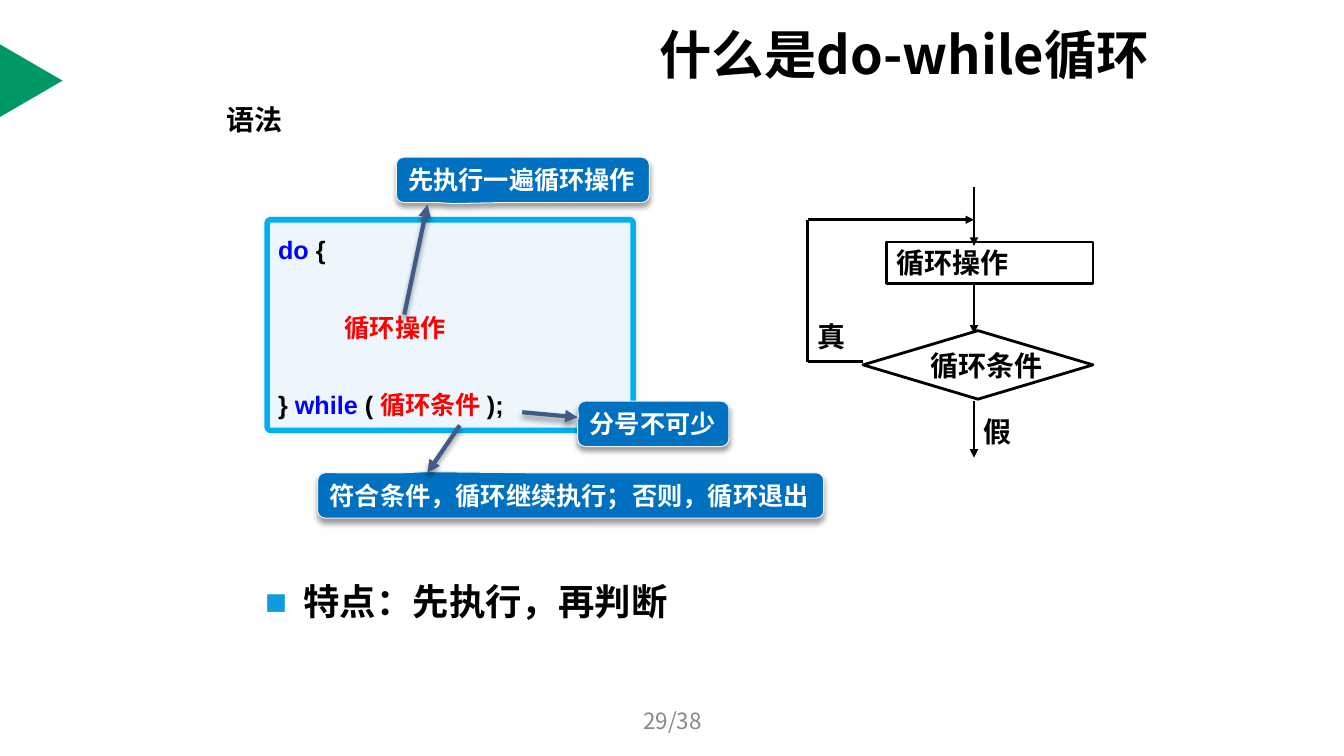
from lxml.etree import SubElement
from pptx import Presentation
from pptx.dml.color import RGBColor
from pptx.enum.shapes import MSO_CONNECTOR, MSO_SHAPE
from pptx.enum.text import MSO_ANCHOR, MSO_AUTO_SIZE, PP_ALIGN
from pptx.oxml.ns import qn
from pptx.util import Inches, Pt

BLACK = RGBColor(0x00, 0x00, 0x00)
WHITE = RGBColor(0xFF, 0xFF, 0xFF)
GREEN = RGBColor(0x00, 0x99, 0x66)
RED = RGBColor(0xFF, 0x00, 0x00)
KEYWORD_BLUE = RGBColor(0x00, 0x00, 0xFF)
CODE_FILL = RGBColor(0xED, 0xF5, 0xFD)
CODE_BORDER = RGBColor(0x00, 0xB0, 0xF0)
CALLOUT_FILL = RGBColor(0x00, 0x70, 0xC0)
CALLOUT_BORDER = RGBColor(0xF2, 0xF2, 0xF2)
POINTER = RGBColor(0x41, 0x5A, 0x86)
BULLET = RGBColor(0x0E, 0x9C, 0xDE)
GRAY = RGBColor(0x89, 0x89, 0x89)
CJK_FONT = "Noto Sans CJK SC"


def add_shadow(effects, alpha, blur, distance):
    """Fill an effect list with a black shadow that falls downwards."""
    shadow = SubElement(effects, qn("a:outerShdw"), blurRad=str(Pt(blur)),
                        dist=str(Pt(distance)), dir="5400000", algn="ctr", rotWithShape="0")
    color = SubElement(shadow, qn("a:srgbClr"), val=str(BLACK))
    SubElement(color, qn("a:alpha"), val=str(alpha * 1000))


def add_span(para, text, size, color=BLACK, name="Arial", bold=True):
    span = para.add_run()
    span.text = text
    formats = {"size": Pt(size), "bold": bold, "name": name}
    for key, value in formats.items():
        setattr(span.font, key, value)
    span.font.color.rgb = color
    SubElement(span.font._element, qn("a:ea"), typeface=CJK_FONT)
    return span


def set_frame(shape, anchor=MSO_ANCHOR.MIDDLE, wrap=False, align=PP_ALIGN.LEFT):
    """Prepare the text frame of a shape and return its first paragraph."""
    frame = shape.text_frame
    formats = {"word_wrap": wrap, "auto_size": MSO_AUTO_SIZE.NONE, "vertical_anchor": anchor}
    for key, value in formats.items():
        setattr(frame, key, value)
    frame.paragraphs[0].alignment = align
    return frame.paragraphs[0]


def place(shape, box):
    for key, value in zip(("left", "top", "width", "height"), box):
        setattr(shape, key, Inches(value))


def add_block(page, kind, box, fill=None, border=None, width=0):
    shape = page.shapes.add_shape(kind, *map(Inches, box))
    shape.shadow.inherit = False
    if fill is None:
        shape.fill.background()
    else:
        shape.fill.solid()
        shape.fill.fore_color.rgb = fill
    if border is None:
        shape.line.fill.background()
    else:
        shape.line.color.rgb = border
        shape.line.width = Pt(width)
    return shape


def add_label(page, box, text, size, **formats):
    label = page.shapes.add_textbox(*map(Inches, box))
    return add_span(set_frame(label), text, size, **formats)


def add_line(page, start, end, color=BLACK, width=2, arrow=True, shadow=False):
    line = page.shapes.add_connector(MSO_CONNECTOR.STRAIGHT, *map(Inches, start + end))
    line.line.color.rgb = color
    line.line.width = Pt(width)
    if arrow:
        SubElement(line.line._get_or_add_ln(), qn("a:tailEnd"), type="triangle")
    effects = SubElement(line._element.spPr, qn("a:effectLst"))
    if shadow:
        add_shadow(effects, 40, 4, 3)


def add_heading(page, box):
    title = page.shapes.title
    place(title, box)
    para = set_frame(title, wrap=True)
    para.line_spacing = 0.82
    add_span(para, "什么是do-while循环", 37.4, name=CJK_FONT)


def add_section_label(page, box):
    font = add_label(page, box, "语法", 20, name=CJK_FONT).font._element
    effects = SubElement(font, qn("a:effectLst"))
    font.find(qn("a:latin")).addprevious(effects)
    add_shadow(effects, 50, 3, 2)


def add_code_panel(page, box):
    panel = add_block(page, MSO_SHAPE.ROUNDED_RECTANGLE, box, CODE_FILL, CODE_BORDER, 4)
    panel.adjustments[0] = 0.017
    add_shadow(panel._element.spPr.find(qn("a:effectLst")), 10, 3, 0)
    lines = [
        (0, [("do", KEYWORD_BLUE), (" {", BLACK)]),
        (0.66, [("循环操作", RED)]),
        (0, [("} ", BLACK), ("while", KEYWORD_BLUE), (" ( ", BLACK),
             ("循环条件 ", RED), (");", BLACK)]),
    ]
    set_frame(panel, MSO_ANCHOR.TOP, wrap=True)
    frame = panel.text_frame
    for index, (indent, spans) in enumerate(lines):
        para = frame.add_paragraph() if index else frame.paragraphs[0]
        para.alignment = PP_ALIGN.LEFT
        para.line_spacing = 1.3
        if index:
            para.space_before = Pt(27)
        para._p.get_or_add_pPr().set("marL", str(Inches(indent)))
        for text, color in spans:
            add_span(para, text, 18, color)


def add_callout(page, box, text, tip):
    callout = add_block(page, MSO_SHAPE.ROUNDED_RECTANGULAR_CALLOUT, box,
                        CALLOUT_FILL, CALLOUT_BORDER, 0.75)
    for index, value in enumerate((*tip, 0.167)):
        callout.adjustments[index] = value
    add_shadow(callout._element.spPr.find(qn("a:effectLst")), 40, 4, 3)
    add_span(set_frame(callout), text, 18, WHITE)


def add_syntax(page, box):
    left, top, width, height = box
    add_code_panel(page, box)
    callouts = [
        (1.28, -0.62, 2.51, "先执行一遍循环操作", (-0.276, 0.522)),
        (0.5, 2.51, 5.02, "符合条件，循环继续执行；否则，循环退出", (-0.284, -0.525)),
        (3.08, 1.8, 1.5, "分号不可少", (-0.495, -0.161)),
    ]
    for x, y, span_width, text, tip in callouts:
        add_callout(page, (left + x, top + y, span_width, 0.45), text, tip)
    pointers = [((1.36, 0.94), (1.59, -0.15)), ((2.53, 1.91), (3.08, 1.96)),
                ((1.91, 2.04), (1.59, 2.51))]
    for start, end in pointers:
        add_line(page, (left + start[0], top + start[1]), (left + end[0], top + end[1]),
                 POINTER, 3, shadow=True)


def add_flowchart(page, box):
    left, top, width, height = box
    axis = left + 1.65
    loop_top, loop_bottom = top + 0.32, top + 1.73
    steps = [(MSO_SHAPE.FLOWCHART_PROCESS, (left + 0.78, top + 0.54, 2.05, 0.41), "循环操作"),
             (MSO_SHAPE.FLOWCHART_DECISION, (left + 0.55, top + 1.42, 2.28, 0.68), "循环条件")]
    for kind, step_box, text in steps:
        step = add_block(page, kind, step_box, border=BLACK, width=2)
        add_span(set_frame(step), text, 20)
    for start, end in ((0, 0.58), (0.95, 1.45), (2.12, height)):
        add_line(page, (axis, top + start), (axis, top + end))
    add_line(page, (left + 0.55, loop_bottom), (left, loop_bottom), arrow=False)
    add_line(page, (left, loop_bottom), (left, loop_top), arrow=False)
    add_line(page, (left, loop_top), (axis, loop_top))
    add_label(page, (left, top + 1.26, 0.48, 0.44), "真", 20)
    add_label(page, (axis, top + 2.2, 0.48, 0.44), "假", 20)


def add_feature(page, box):
    body = page.placeholders[1]
    place(body, box)
    para = set_frame(body, MSO_ANCHOR.TOP, wrap=True)
    para.space_before = Pt(0)
    properties = para._p.get_or_add_pPr()
    properties.set("marL", str(Inches(0.38)))
    properties.set("indent", str(Inches(-0.38)))
    color = SubElement(properties, qn("a:buClr"))
    SubElement(color, qn("a:srgbClr"), val=str(BULLET))
    SubElement(properties, qn("a:buFont"), typeface="Arial")
    SubElement(properties, qn("a:buChar"), char="■")
    add_span(para, "特点：先执行，再判断", 26)


def add_page_number(page, box):
    number = page.shapes.add_textbox(*map(Inches, box))
    para = set_frame(number, wrap=True, align=PP_ALIGN.CENTER)
    add_span(para, "29/38", 16, GRAY, CJK_FONT, bold=False)


def main():
    deck = Presentation()
    deck.slide_width, deck.slide_height = Inches(13.33), Inches(7.5)
    page = deck.slides.add_slide(deck.slide_layouts[1])
    marker = add_block(page, MSO_SHAPE.ISOSCELES_TRIANGLE, (-0.05, 0.49, 0.72, 0.62), GREEN)
    marker.rotation = 90
    add_heading(page, (6.44, 0.3, 5.19, 0.57))
    add_section_label(page, (2.15, 0.96, 0.76, 0.44))
    add_syntax(page, (2.65, 2.18, 3.63, 2.09))
    add_flowchart(page, (8.01, 1.86, 2.83, 2.68))
    add_feature(page, (2.53, 5.7, 4.8, 0.63))
    add_page_number(page, (4.56, 6.95, 4.22, 0.4))
    deck.save("out.pptx")


if __name__ == "__main__":
    main()
